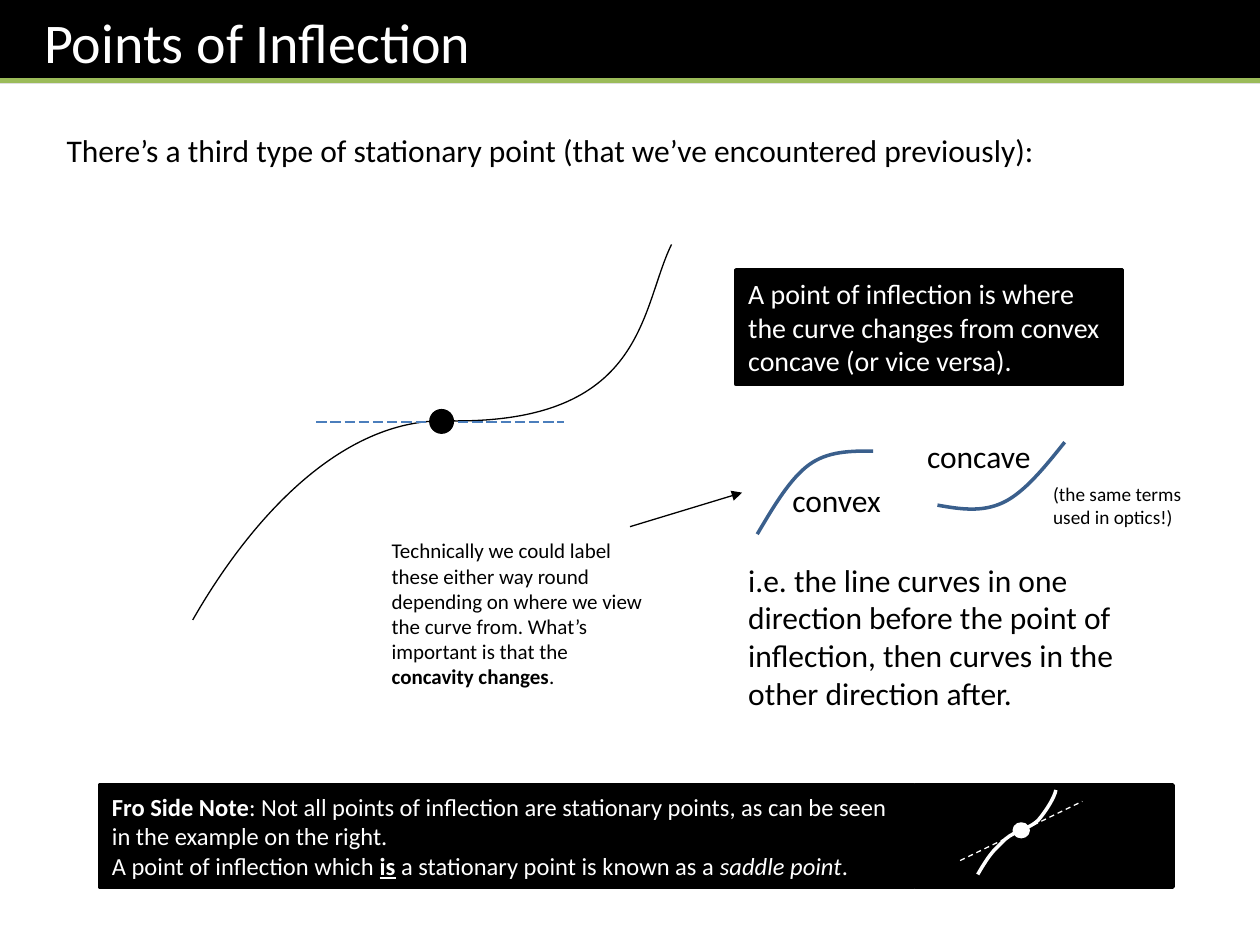
import pptx
import pptx.util
import pptx.dml.color
import pptx.enum.dml
import pptx.enum.shapes
import pptx.enum.text
import pptx.oxml
import pptx.oxml.ns

Inches = pptx.util.Inches
Pt = pptx.util.Pt
Shape = pptx.enum.shapes.MSO_SHAPE
Dash = pptx.enum.dml.MSO_LINE
Anchor = pptx.enum.text.MSO_ANCHOR
Align = pptx.enum.text.PP_ALIGN
qn = pptx.oxml.ns.qn
FONT = "Calibri"
COLORS = {
    "black": "000000",
    "white": "FFFFFF",
    "green": "9BBB59",
    "blue": "4B7EBC",
    "navy": "3A5F8C",
}


def rgb(name):
    return pptx.dml.color.RGBColor.from_string(COLORS[name])


def element(parent, tag, **attrs):
    child = pptx.oxml.parse_xml(f"<a:{tag} {pptx.oxml.ns.nsdecls('a')}/>")
    for key, value in attrs.items():
        child.set(key, value)
    parent.append(child)
    return child


def paint(line, color, width):
    line.color.rgb = rgb(color)
    line.width = Pt(width)


def write(shape, paras, size, color="black", anchor=Anchor.TOP):
    frame = shape.text_frame
    frame.word_wrap = True
    frame.vertical_anchor = anchor
    for index, runs in enumerate(paras):
        para = frame.paragraphs[0] if index == 0 else frame.add_paragraph()
        para.alignment = Align.LEFT
        for text, style in runs:
            run = para.add_run()
            run.text = text
            run.font.name = FONT
            run.font.size = Pt(size)
            run.font.color.rgb = rgb(color)
            run.font.bold = "b" in style
            run.font.italic = "i" in style
            run.font.underline = "u" in style


def label(slide, box, runs, size):
    shape = slide.shapes.add_textbox(*map(Inches, box))
    write(shape, [runs], size)


def solid(slide, kind, box, color):
    shape = slide.shapes.add_shape(kind, *map(Inches, box))
    shape.shadow.inherit = False
    shape.fill.solid()
    shape.fill.fore_color.rgb = rgb(color)
    paint(shape.line, color, 2)
    return shape


def rule(slide, start, end, color, width, dash=None, arrow=False):
    line = slide.shapes.add_connector(
        pptx.enum.shapes.MSO_CONNECTOR.STRAIGHT, *map(Inches, (*start, *end)))
    paint(line.line, color, width)
    if dash:
        line.line.dash_style = dash
    if arrow:
        element(line.line._get_or_add_ln(), "tailEnd", type="triangle")
    element(line._element.spPr, "effectLst")


def curve(slide, box, points, color, width):
    spots = [(Inches(box[0] + x), Inches(box[1] + y)) for x, y in points]
    pen = slide.shapes.build_freeform(*spots[0])
    pen.add_line_segments(spots[1:], close=False)
    shape = pen.convert_to_shape()
    shape.shadow.inherit = False
    shape.fill.background()
    paint(shape.line, color, width)
    steps = list(shape._element.iter(qn("a:lnTo")))
    track = steps[0].getparent()
    for index in range(0, len(steps), 3):
        bend = element(track, "cubicBezTo")
        for step in steps[index:index + 3]:
            bend.append(step[0])
            track.remove(step)


def header(slide, box):
    x, y, w, h = box
    title = slide.shapes.title
    title.left, title.top, title.width, title.height = map(Inches, box)
    title.fill.solid()
    title.fill.fore_color.rgb = rgb("black")
    title.text_frame.margin_left = Inches(0.35)
    write(title, [[("Points of Inflection", "")]], 32, "white", Anchor.MIDDLE)
    rule(slide, (x, y + h - 0.02), (x + w, y + h - 0.02), "green", 3)


def graph(slide, box):
    x, y, w, h = box
    points = [(0, h), (0.44, 2.21), (1.16, 1.38), (2.02, 1.4),
              (3.6, 1.43), (3.55, 0.51), (w, 0)]
    curve(slide, box, points, "black", 0.75)
    rule(slide, (x + 0.98, y + 1.41), (x + 2.95, y + 1.41),
         "blue", 0.75, Dash.LONG_DASH)
    solid(slide, Shape.OVAL, (x + 1.89, y + 1.32, 0.17, 0.17), "black")


def meaning(slide, box):
    x, y, w, h = box
    panel = solid(slide, Shape.RECTANGLE, (x, y, 3.07, 0.91), "black")
    text = ("A point of inflection is where the curve changes "
            "from convex concave (or vice versa).")
    write(panel, [[(text, "")]], 16, "white", Anchor.MIDDLE)
    convex = [(0.17, 2.1), (0.3, 1.88), (0.43, 1.66), (0.58, 1.55),
              (0.73, 1.44), (0.91, 1.44), (1.09, 1.44)]
    concave = [(2.61, 1.37), (2.45, 1.57), (2.29, 1.77), (2.12, 1.85),
               (1.95, 1.93), (1.77, 1.9), (1.6, 1.87)]
    for points in (convex, concave):
        curve(slide, box, points, "navy", 2)
    label(slide, (x + 0.35, y + 1.63, 0.94, 0.4), [("convex", "")], 18)
    label(slide, (x + 1.42, y + 1.28, 1.13, 0.4), [("concave", "")], 18)
    label(slide, (x + 2.42, y + 1.64, 1.42, 0.47),
          [("(the same terms used in optics!)", "")], 11)
    label(slide, (x, y + h - 1.31, 3.46, 1.31),
          [("i.e. the line curves in one direction before the point of "
            "inflection, then curves in the other direction after.", "")], 18)


def remark(slide, box):
    x, y, w, h = box
    runs = [("Technically we could label these either way round depending on "
             "where we view the curve from. What’s important is that the ", ""),
            ("concavity changes", "b"), (".", "")]
    label(slide, box, runs, 12)
    rule(slide, (x + 1.99, y - 0.04), (x + 2.88, y - 0.31),
         "black", 0.75, arrow=True)


def note(slide, box):
    x, y, w, h = box
    split = 6.47
    solid(slide, Shape.RECTANGLE, (x + split, y, w - split, h), "black")
    panel = solid(slide, Shape.RECTANGLE, (x, y, split - 0.01, h), "black")
    paras = [
        [("Fro Side Note", "b"),
         (": Not all points of inflection are stationary points, "
          "as can be seen in the example on the right.", "")],
        [("A point of inflection which ", ""), ("is", "bu"),
         (" a stationary point is known as a ", ""),
         ("saddle point", "i"), (".", "")],
    ]
    write(panel, paras, 14, "white", Anchor.MIDDLE)
    points = [(6.97, 0.71), (7.08, 0.52), (7.11, 0.51), (7.19, 0.43),
              (7.27, 0.36), (7.38, 0.35), (7.45, 0.28),
              (7.51, 0.21), (7.58, 0.1), (7.59, 0.04)]
    curve(slide, box, points, "white", 2)
    rule(slide, (x + 6.83, y + 0.6), (x + 7.8, y + 0.13),
         "white", 0.75, Dash.DASH)
    solid(slide, Shape.OVAL, (x + 7.26, y + 0.31, 0.11, 0.1), "white")


def main():
    deck = pptx.Presentation()
    deck.slide_width = Inches(10)
    deck.slide_height = Inches(7.5)
    slide = deck.slides.add_slide(deck.slide_layouts[5])
    header(slide, (0, 0, 10, 0.66))
    label(slide, (0.43, 0.99, 8.19, 0.4),
          [("There’s a third type of stationary point "
            "(that we’ve encountered previously):", "")], 18)
    graph(slide, (1.53, 1.94, 3.8, 2.98))
    meaning(slide, (5.84, 2.14, 3.84, 3.57))
    remark(slide, (3.01, 4.22, 2.22, 1.31))
    note(slide, (0.79, 6.23, 8.52, 0.81))
    deck.save("out.pptx")


if __name__ == "__main__":
    main()
